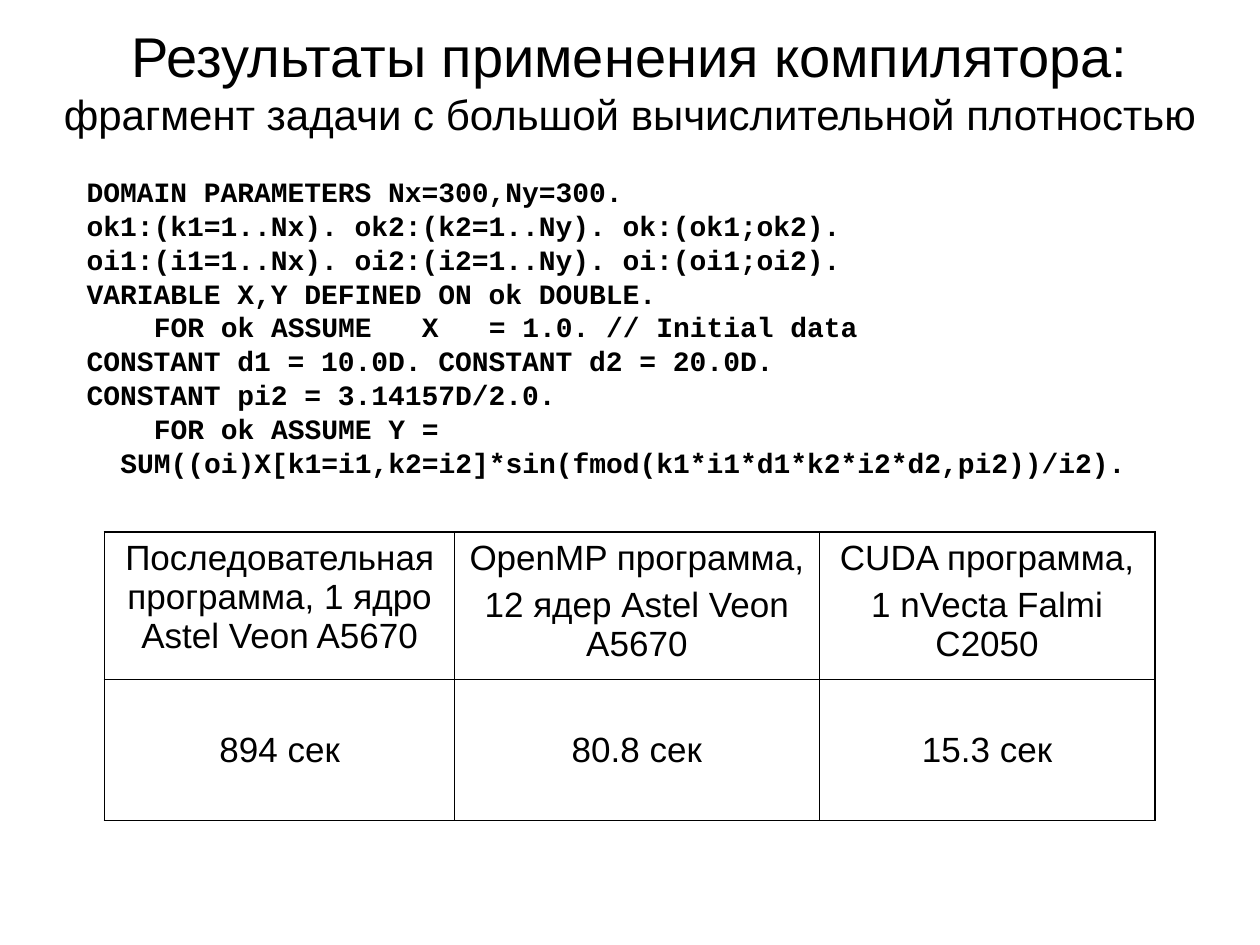
from lxml.etree import SubElement
from pptx import Presentation
from pptx.dml.color import RGBColor
from pptx.enum.text import MSO_ANCHOR, PP_ALIGN
from pptx.oxml.ns import qn
from pptx.util import Inches, Pt

BLACK = RGBColor(0, 0, 0)
WHITE = RGBColor(255, 255, 255)
WIDE, HIGH = Inches(10), Inches(7.5)
THICK, THIN = Pt(1.08), Pt(0.45)
CHAR = 0.6 * Pt(16)  # advance of one Courier New letter
HANG = Inches(0.67)

TITLE = [
    ("Результаты применения компилятора: ", 32),
    ("фрагмент задачи с большой вычислительной плотностью", 24),
]
# Each code line: indent in letters, text
CODE = [
    (0, "DOMAIN PARAMETERS Nx=300,Ny=300."),
    (0, "ok1:(k1=1..Nx). ok2:(k2=1..Ny). ok:(ok1;ok2)."),
    (0, "oi1:(i1=1..Nx). oi2:(i2=1..Ny). oi:(oi1;oi2)."),
    (0, "VARIABLE X,Y DEFINED ON ok DOUBLE."),
    (4, "FOR ok ASSUME   X   = 1.0. // Initial data"),
    (0, "CONSTANT d1 = 10.0D. CONSTANT d2 = 20.0D."),
    (0, "CONSTANT pi2 = 3.14157D/2.0."),
    (4, "FOR ok ASSUME Y ="),
    (2, "SUM((oi)X[k1=i1,k2=i2]*sin(fmod(k1*i1*d1*k2*i2*d2,pi2))/i2)."),
]
COLS, ROWS = (2.78, 2.89, 2.67), (1.17, 1.12)
CELLS = [
    [
        ["Последовательная программа, 1 ядро Astel Veon A5670"],
        ["OpenMP программа,", "12 ядер Astel Veon A5670"],
        ["CUDA программа,", "1 nVecta Falmi C2050"],
    ],
    [["894 сек"], ["80.8 сек"], ["15.3 сек"]],
]


def share(x, y, w, h):
    """Turn shares of the slide into a box."""
    return int(x * WIDE), int(y * HIGH), int(w * WIDE), int(h * HIGH)


def add_run(para, text, size, face="Arial", bold=False):
    run = para.add_run()
    run.text = text
    font = run.font
    font.size, font.name, font.bold = Pt(size), face, bold
    font.color.rgb = BLACK


def paras(frame, count):
    """Yield the first paragraph, then new ones."""
    yield frame.paragraphs[0]
    for _ in range(count - 1):
        yield frame.add_paragraph()


def set_title(slide):
    title = slide.shapes.title
    title.left, title.top, title.width, title.height = share(0.035, 0, 0.93, 0.17)
    frame = title.text_frame
    frame.word_wrap = True
    frame.vertical_anchor = MSO_ANCHOR.MIDDLE
    para = frame.paragraphs[0]
    para.alignment = PP_ALIGN.CENTER
    for text, size in TITLE:
        add_run(para, text, size)


def add_code(slide):
    box = slide.shapes.add_textbox(*share(0.059, 0.185, 0.89, 0.35))
    frame = box.text_frame
    frame.word_wrap = True
    for para, (step, text) in zip(paras(frame, len(CODE)), CODE):
        para.alignment = PP_ALIGN.JUSTIFY
        para.line_spacing, para.space_before = 0.8, Pt(4)
        props = para._p.get_or_add_pPr()
        props.set("marL", str(HANG))
        props.set("indent", str(int(step * CHAR) - HANG))
        add_run(para, text, 16, "Courier New", True)


def set_edges(cell, **edges):
    props = cell._tc.get_or_add_tcPr()
    for place, (side, width) in enumerate(edges.items()):
        line = props.makeelement(qn(f"a:ln{side}"), {"w": str(width)})
        props.insert(place, line)
        fill = SubElement(line, qn("a:solidFill"))
        SubElement(fill, qn("a:srgbClr"), val=str(BLACK))


def fill_cell(cell, lines, anchor):
    cell.fill.solid()
    cell.fill.fore_color.rgb = WHITE
    cell.vertical_anchor = anchor
    for para, text in zip(paras(cell.text_frame, len(lines)), lines):
        para.alignment = PP_ALIGN.CENTER
        para.space_before = Pt(5)
        add_run(para, text, 20)


def add_times(slide):
    """Add the table of run times, with a thicker outer frame."""
    box = share(0.083, 0.563, sum(COLS) / 10, sum(ROWS) / 7.5)
    table = slide.shapes.add_table(len(ROWS), len(COLS), *box).table
    for col, width in zip(table.columns, COLS):
        col.width = Inches(width)
    for row, height in zip(table.rows, ROWS):
        row.height = Inches(height)
    for r, line in enumerate(CELLS):
        for c, lines in enumerate(line):
            cell = table.cell(r, c)
            fill_cell(cell, lines, MSO_ANCHOR.MIDDLE if r else MSO_ANCHOR.TOP)
            set_edges(
                cell,
                L=THIN if c else THICK,
                R=THICK if c == len(COLS) - 1 else THIN,
                T=THIN if r else THICK,
                B=THICK if r == len(ROWS) - 1 else THIN,
            )


def main():
    deck = Presentation()
    deck.slide_width, deck.slide_height = WIDE, HIGH
    slide = deck.slides.add_slide(deck.slide_layouts[5])
    set_title(slide)
    add_code(slide)
    add_times(slide)
    deck.save("out.pptx")


if __name__ == "__main__":
    main()
